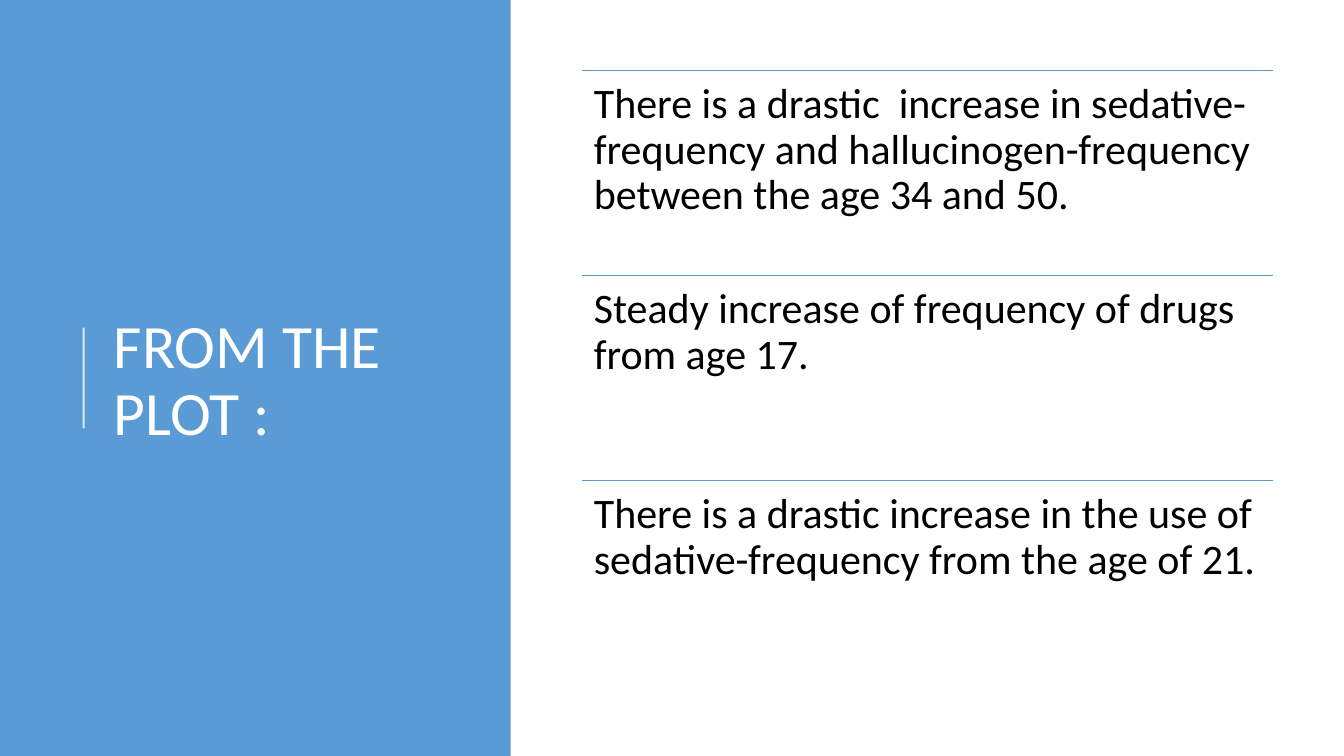
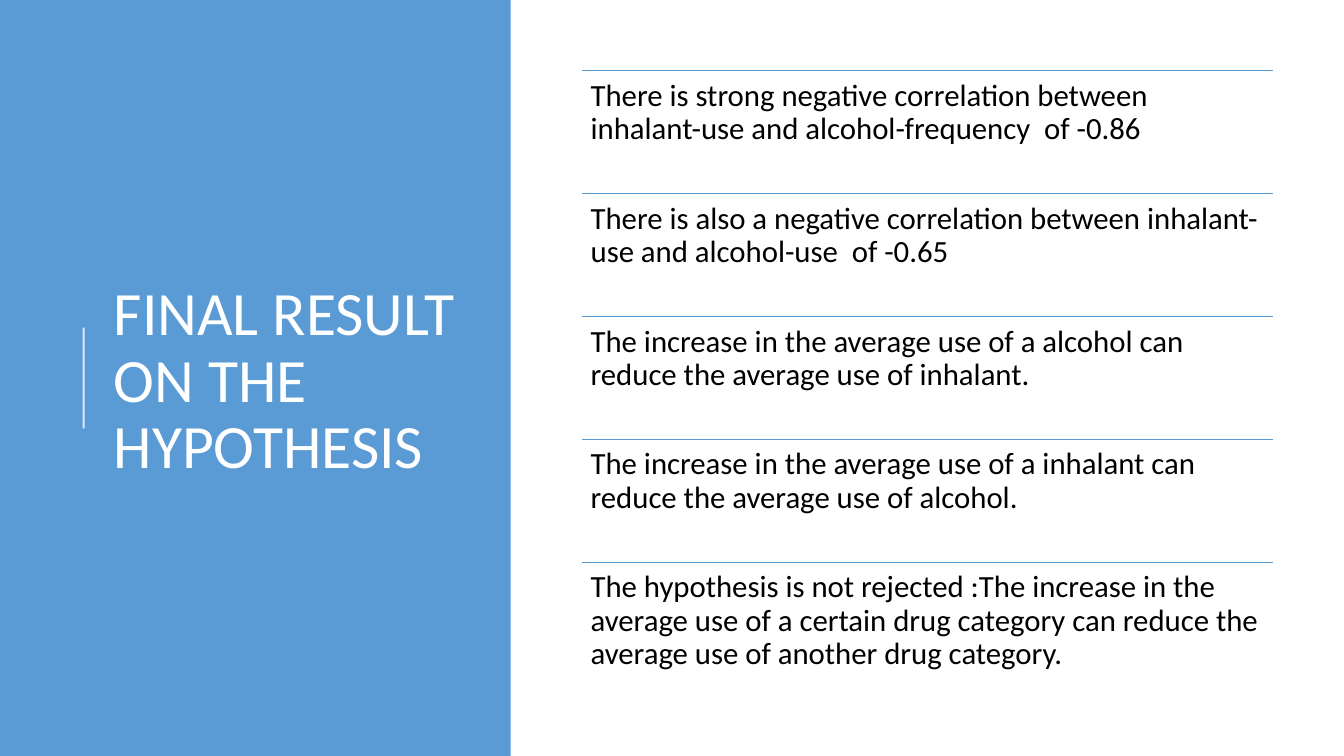
from lxml import etree
from pptx import Presentation
from pptx.dml.color import RGBColor
from pptx.enum.shapes import MSO_CONNECTOR, MSO_SHAPE
from pptx.enum.text import MSO_ANCHOR
from pptx.oxml.ns import qn
from pptx.util import Inches, Pt

RECTANGLE = MSO_SHAPE.RECTANGLE
STRAIGHT = MSO_CONNECTOR.STRAIGHT
TOP, MIDDLE = MSO_ANCHOR.TOP, MSO_ANCHOR.MIDDLE

SLIDE_W, SLIDE_H = 13.33, 7.5
BAND_W = 0.38 * SLIDE_W
RULE_X, RULE_LEN = 0.83, 1.0
TITLE_BOX = (1.03, 0.78, 3.69, 6.02)
LIST_X, LIST_TOP, LIST_W, LIST_H = 5.77, 0.7, 6.86, 6.1
INSET_PER_POINT = 0.004  # inches of margin for each point of text size

FONT = "Calibri"
BLUE, WHITE, BLACK = "5B9BD5", "FFFFFF", "000000"
TITLE_FORMAT = {"size": Pt(44), "name": FONT}

SLIDES = [
    ("FROM THE PLOT :", 30, [
        "There is a drastic  increase in sedative-frequency and "
        "hallucinogen-frequency between the age 34 and 50.",
        "Steady increase of frequency of drugs from age 17.",
        "There is a drastic increase in the use of sedative-frequency "
        "from the age of 21.",
    ]),
    ("FINAL RESULT ON THE HYPOTHESIS", 22, [
        "There is strong negative correlation between inhalant-use and "
        "alcohol-frequency  of -0.86",
        "There is also a negative correlation between inhalant-use and "
        "alcohol-use  of -0.65",
        "The increase in the average use of a alcohol can reduce the "
        "average use of inhalant.",
        "The increase in the average use of a inhalant can reduce the "
        "average use of alcohol.",
        "The hypothesis is not rejected :The increase in the average use of "
        "a certain drug category can reduce the average use of another drug "
        "category.",
    ]),
]


def rgb(hex_color):
    return RGBColor.from_string(hex_color)


def apply_format(target, values):
    for name, value in values.items():
        setattr(target, name, value)


def add_band(slide):
    band = slide.shapes.add_shape(
        RECTANGLE, 0, 0, Inches(BAND_W), Inches(SLIDE_H))
    band.shadow.inherit = False
    band.fill.solid()
    band.fill.fore_color.rgb = rgb(BLUE)
    band.line.fill.background()


def add_line(slide, start, end, color, width, opacity=100):
    line = slide.shapes.add_connector(
        STRAIGHT, *(Inches(length) for length in (*start, *end)))
    line.line.color.rgb = rgb(color)
    line.line.width = Pt(width)
    properties = line._element.spPr
    if opacity < 100:
        color_node = next(properties.iter(qn("a:srgbClr")))
        etree.SubElement(color_node, qn("a:alpha"), val=str(opacity * 1000))
    etree.SubElement(properties, qn("a:effectLst"))


def add_text(slide, box, text, color, font_format, frame_format):
    frame = slide.shapes.add_textbox(*map(Inches, box)).text_frame
    apply_format(frame, {"word_wrap": True, **frame_format})
    paragraph = frame.paragraphs[0]
    paragraph.line_spacing = 0.9
    run = paragraph.add_run()
    run.text = text
    apply_format(run.font, font_format)
    run.font.color.rgb = rgb(color)


def add_title_panel(slide, title):
    add_band(slide)
    rule_top = (SLIDE_H - RULE_LEN) / 2
    add_line(slide, (RULE_X, rule_top), (RULE_X, rule_top + RULE_LEN),
             WHITE, 1.5, opacity=80)
    add_text(slide, TITLE_BOX, title, WHITE, TITLE_FORMAT,
             {"vertical_anchor": MIDDLE})


def add_ruled_list(slide, statements, size):
    """Share the list height equally, with a line above each statement."""
    row_h = LIST_H / len(statements)
    inset = Inches(INSET_PER_POINT * size)
    margins = {f"margin_{side}": inset
               for side in ("left", "top", "right", "bottom")}
    for row, statement in enumerate(statements):
        top = LIST_TOP + row * row_h
        add_line(slide, (LIST_X, top), (LIST_X + LIST_W, top), BLUE, 1)
        add_text(slide, (LIST_X, top, LIST_W, row_h), statement, BLACK,
                 {"size": Pt(size), "name": FONT},
                 {"vertical_anchor": TOP, **margins})


def main():
    deck = Presentation()
    deck.slide_width, deck.slide_height = Inches(SLIDE_W), Inches(SLIDE_H)
    blank = deck.slide_layouts[6]
    for title, size, statements in SLIDES:
        slide = deck.slides.add_slide(blank)
        add_title_panel(slide, title)
        add_ruled_list(slide, statements, size)
    deck.save("out.pptx")


if __name__ == "__main__":
    main()
